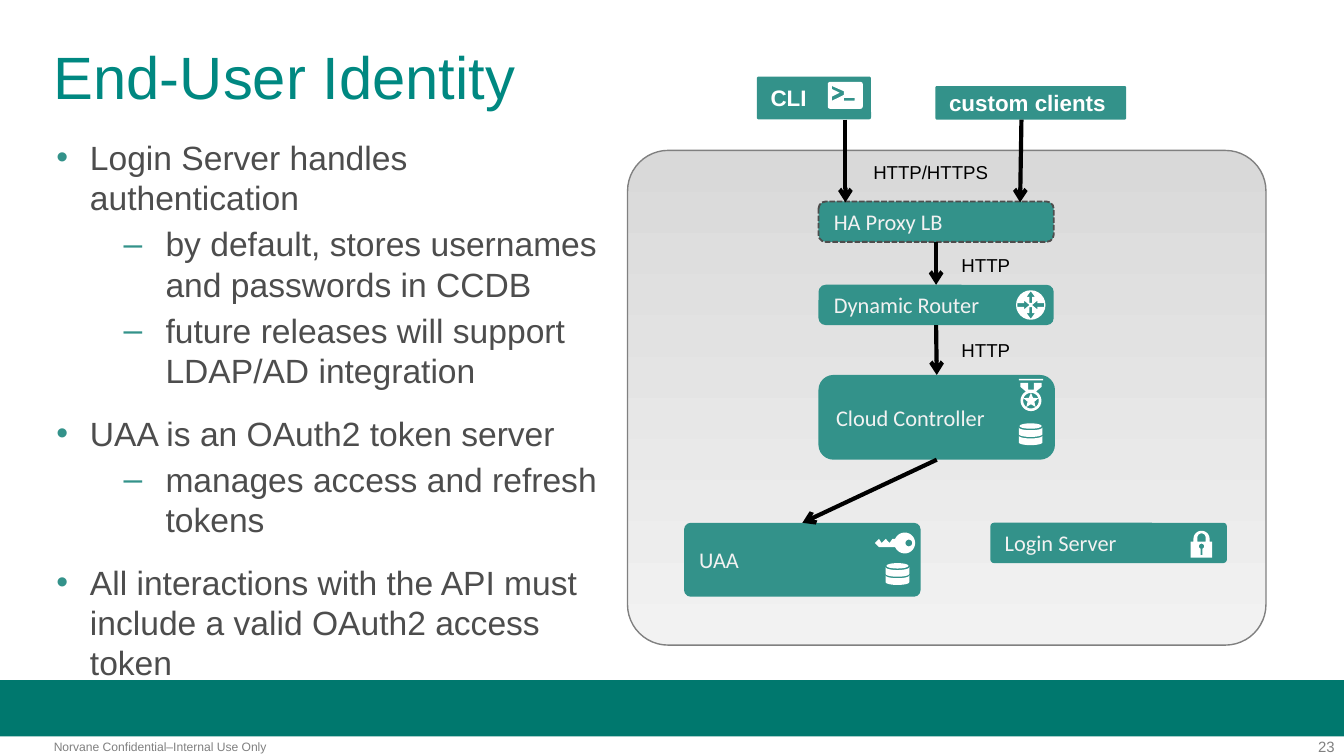
"""Build the End-User Identity slide: bullets beside a login architecture diagram."""
from dataclasses import dataclass
from math import cos, radians, sin

from lxml.etree import SubElement
from pptx import Presentation
from pptx.dml.color import RGBColor
from pptx.enum.dml import MSO_LINE
from pptx.enum.shapes import MSO_CONNECTOR, MSO_SHAPE
from pptx.enum.text import MSO_ANCHOR, MSO_AUTO_SIZE, PP_ALIGN
from pptx.oxml.ns import qn
from pptx.util import Pt


@dataclass(frozen=True)
class Theme:
    teal: str = "33928A"
    title: str = "008881"
    bar: str = "00786E"
    body: str = "4D4D4D"
    gray: str = "808080"
    light: str = "F2F2F2"
    panel: str = "D9D9D9"
    white: str = "FFFFFF"
    black: str = "000000"
    sans: str = "Arial"
    box: str = "Calibri"
    title_size: float = 32
    body_size: float = 18
    box_size: float = 12
    label_size: float = 10
    number_size: float = 8
    footer_size: float = 6.5


THEME = Theme()
TITLE = "End-User Identity"
BULLETS = [
    (0, "Login Server handles authentication"),
    (1, "by default, stores usernames and passwords in CCDB"),
    (1, "future releases will support LDAP/AD integration"),
    (0, "UAA is an OAuth2 token server"),
    (1, "manages access and refresh tokens"),
    (0, "All interactions with the API must include a valid OAuth2 access token"),
]
LEVELS = [("•", 18, -18, 12), ("–", 58.5, -22.5, 3)]
SERVERS = [
    ("HA Proxy LB", (438.5, 108, 126, 21.6), 0.177),
    ("Dynamic Router", (438.5, 152.6, 126, 21.6), 0.177),
    ("Cloud Controller", (438.5, 200.9, 126.7, 45.4), 0.177),
    ("UAA", (366.5, 280.1, 126.7, 39.6), 0.09),
    ("Login Server", (530.6, 280.1, 126.7, 21.6), 0.09),
]
CLIENTS = [
    ("CLI", (405.4, 41, 61.2, 23), 0.046),
    ("custom clients", (501.1, 46.1, 102.2, 18), 0.046),
]
CALLS = [("HA Proxy LB", "Dynamic Router"), ("Dynamic Router", "Cloud Controller"),
         ("Cloud Controller", "UAA")]
CLIENT_ARROWS = [(452.9, 64.1, 452.9, 108.4), (547.2, 64.1, 546.5, 108.4)]
LABELS = [
    ("HTTP/HTTPS", (460.1, 82.8, 77, 19.4)),
    ("HTTP", (507.6, 132.5, 41, 19.4)),
    ("HTTP", (507.6, 177.8, 41, 19.4)),
]


def arc(x, y, rx, ry=None, start=0, end=360):
    steps = 24
    angles = [radians(start + (end - start) * step / steps) for step in range(steps + 1)]
    return [(x + rx * cos(angle), y + (ry or rx) * sin(angle)) for angle in angles]


def rectangle(left, top, right, bottom):
    return [(left, top), (right, top), (right, bottom), (left, bottom)]


def disk(top):
    return arc(6.3, top, 6.3, 1.5, 180, 0) + arc(6.3, top + 3.6, 6.3, 1.5, 0, 180)


def router():
    outward = [(0, -7.4), (-2.2, -4.4), (-0.8, -4.4), (-0.8, -1.2),
               (0.8, -1.2), (0.8, -4.4), (2.2, -4.4)]
    inward = [(0.7, 0), (3.6, -2.4), (3.6, -1), (7.2, -1), (7.2, 1), (3.6, 1), (3.6, 2.4)]
    arrows = [[(7.9 + sign * x, 7.9 + sign * y) for x, y in arrow]
              for arrow in (outward, inward) for sign in (1, -1)]
    return [arc(7.9, 7.9, 7.9)] + arrows


def medal():
    star = [arc(6.5, 11.7, 1.9 if tip % 2 else 4.2, start=36 * tip - 90)[0] for tip in range(10)]
    ribbon = [(0.8, 2.2), (5, 2.2), (5, 5.8), (8, 5.8), (8, 2.2), (12.2, 2.2),
              (12.2, 4.3), (9.2, 6.8), (6.5, 6.1), (3.8, 6.8), (0.8, 4.3)]
    return [arc(6.5, 11.7, 5.6), arc(6.5, 11.7, 4.2), star, ribbon, rectangle(0, 0, 13, 0.9)]


DATABASE = [arc(6.3, 1.45, 5.9, 1.45), disk(2.2), disk(6.6)]
KEY = [arc(16, 5.8, 5.6, start=-157, end=157)
       + [(2.2, 8), (0, 5.8), (2.2, 3.6), (3.6, 5.8), (5.8, 3.6), (7.9, 5.8), (9.4, 3.6)],
       arc(18.2, 5.8, 1.8)]
LOCK = [[(0, 5.8), (1.5, 5.8)] + arc(5.8, 4.3, 4.3, start=180, end=360)
        + [(10.1, 5.8), (11.5, 5.8), (11.5, 14.4), (0, 14.4)],
        arc(5.8, 3.6, 2.2, start=180, end=360) + [(8, 5.8), (3.6, 5.8)],
        arc(5.8, 8.3, 1.4, start=110, end=430) + [(6.3, 13), (5.3, 13)]]
TERMINAL = [[point for x, y, start in [(1.2, 1.2, 180), (17.5, 1.2, 270),
                                       (17.5, 13.2, 0), (1.2, 13.2, 90)]
             for point in arc(x, y, 1.2, start=start, end=start + 90)],
            rectangle(8.6, 8.6, 14.4, 10.1),
            [(2.2, 2.2), (2.2, 3.8), (6.3, 5.8), (2.2, 7.9), (2.2, 10.1), (8.6, 7), (8.6, 5)]]
ICONS = [(KEY, 468.7, 285.1), (LOCK, 637.9, 284.4), (router(), 544.3, 155.5),
         (medal(), 545.8, 203), (DATABASE, 545.8, 226.8), (DATABASE, 474.5, 301.7),
         (TERMINAL, 443.5, 43.9)]


def color(value):
    return RGBColor.from_string(value)


def set_font(paragraph, name, size, value, bold=False):
    font = paragraph.font
    font.name, font.size, font.bold = name, Pt(size), bold
    font.color.rgb = color(value)


def set_frame(frame, insets=(0, 0, 0, 0), anchor=MSO_ANCHOR.TOP, wrap=True):
    frame.margin_left, frame.margin_top, frame.margin_right, frame.margin_bottom = map(Pt, insets)
    frame.vertical_anchor, frame.word_wrap = anchor, wrap
    frame.auto_size = MSO_AUTO_SIZE.NONE


def place(shape, *bounds):
    shape.left, shape.top, shape.width, shape.height = map(Pt, bounds)


def paint(shape, fill):
    shape.shadow.inherit = False
    shape.fill.solid()
    shape.fill.fore_color.rgb = color(fill)
    shape.line.fill.background()


def add_box(slide, kind, bounds, fill, corner=None):
    shape = slide.shapes.add_shape(kind, *map(Pt, bounds))
    paint(shape, fill)
    if corner is not None:
        shape.adjustments[0] = corner
    return shape


def add_node(slide, text, bounds, corner, font, value, bold=False):
    shape = add_box(slide, MSO_SHAPE.ROUNDED_RECTANGLE, bounds, THEME.teal, corner)
    set_frame(shape.text_frame, (7.2, 0, 0, 0), MSO_ANCHOR.MIDDLE)
    paragraph = shape.text_frame.paragraphs[0]
    paragraph.text, paragraph.alignment = text, PP_ALIGN.LEFT
    set_font(paragraph, font, THEME.box_size, value, bold)
    return shape


def add_label(slide, text, bounds, size, value, align, insets=(0, 0, 0, 0), wrap=True):
    frame = slide.shapes.add_textbox(*map(Pt, bounds)).text_frame
    set_frame(frame, insets, wrap=wrap)
    paragraph = frame.paragraphs[0]
    paragraph.text, paragraph.alignment = text, align
    set_font(paragraph, THEME.sans, size, value)


def add_arrow(slide, *ends):
    arrow = slide.shapes.add_connector(MSO_CONNECTOR.STRAIGHT, *map(Pt, ends))
    arrow.line.width = Pt(2.25)
    arrow.line.color.rgb = color(THEME.black)
    SubElement(arrow.line._get_or_add_ln(), qn("a:tailEnd"), type="arrow")
    SubElement(arrow._element.spPr, qn("a:effectLst"))
    return arrow


def add_icon(slide, contours, left, top):
    outlines = [[(Pt(left + x), Pt(top + y)) for x, y in contour] for contour in contours]
    builder = slide.shapes.build_freeform(*outlines[0][0])
    builder.add_line_segments(outlines[0][1:], close=True)
    for outline in outlines[1:]:
        builder.move_to(*outline[0])
        builder.add_line_segments(outline[1:], close=True)
    paint(builder.convert_to_shape(), THEME.white)


def add_text(slide):
    title, body = slide.shapes.title, slide.placeholders[1]
    place(title, 28.8, 24.9, 662.4, 36)
    set_frame(title.text_frame, anchor=MSO_ANCHOR.MIDDLE)
    heading = title.text_frame.paragraphs[0]
    heading.text, heading.alignment, heading.line_spacing = TITLE, PP_ALIGN.LEFT, 0.9
    set_font(heading, THEME.sans, THEME.title_size, THEME.title)
    place(body, 30.2, 73.4, 293, 293.8)
    frame = body.text_frame
    set_frame(frame)
    for index, (level, text) in enumerate(BULLETS):
        paragraph = frame.add_paragraph() if index else frame.paragraphs[0]
        mark, margin, indent, before = LEVELS[level]
        paragraph.text, paragraph.level = text, level
        paragraph.line_spacing, paragraph.space_before = 1.0, Pt(before if index else 0)
        properties = paragraph._p.get_or_add_pPr()
        properties.set("marL", str(Pt(margin)))
        properties.set("indent", str(Pt(indent)))
        SubElement(SubElement(properties, qn("a:buClr")), qn("a:srgbClr"), val=THEME.teal)
        SubElement(properties, qn("a:buFont"), typeface=THEME.sans)
        SubElement(properties, qn("a:buChar"), char=mark)
        set_font(paragraph, THEME.sans, THEME.body_size, THEME.body)


def add_diagram(slide):
    panel = add_box(slide, MSO_SHAPE.ROUNDED_RECTANGLE, (336.2, 80.6, 342, 265), THEME.panel, 0.082)
    panel.fill.gradient()
    panel.fill.gradient_angle = 270
    for stop, value in zip(panel.fill.gradient_stops, (THEME.panel, THEME.light)):
        stop.color.rgb = color(value)
    panel.line.color.rgb, panel.line.width = color(THEME.gray), Pt(0.75)
    nodes = {item[0]: add_node(slide, *item, THEME.box, THEME.light) for item in SERVERS}
    proxy = nodes["HA Proxy LB"].line
    proxy.color.rgb, proxy.width, proxy.dash_style = color(THEME.body), Pt(1), MSO_LINE.SQUARE_DOT
    for item in CLIENTS:
        add_node(slide, *item, THEME.sans, THEME.white, True)
    for icon in ICONS:
        add_icon(slide, *icon)
    for ends in CLIENT_ARROWS:
        add_arrow(slide, *ends)
    for source, target in CALLS:
        arrow = add_arrow(slide, 0, 0, 0, 0)
        arrow.begin_connect(nodes[source], 2)
        arrow.end_connect(nodes[target], 0)
    for text, bounds in LABELS:
        add_label(slide, text, bounds, THEME.label_size, THEME.black, PP_ALIGN.CENTER,
                  (7.2, 3.6, 7.2, 3.6), False)


def main():
    presentation = Presentation()
    presentation.slide_width, presentation.slide_height = Pt(720), Pt(405)
    slide = presentation.slides.add_slide(presentation.slide_layouts[1])
    add_box(slide, MSO_SHAPE.RECTANGLE, (0, 364.3, 720, 30.2), THEME.bar)
    add_label(slide, "23", (673.2, 395.3, 41.8, 9.4), THEME.number_size, THEME.gray, PP_ALIGN.RIGHT)
    add_label(slide, "Norvane Confidential–Internal Use Only", (28.8, 396, 179.3, 7.9),
              THEME.footer_size, THEME.gray, PP_ALIGN.LEFT)
    add_text(slide)
    add_diagram(slide)
    presentation.save("out.pptx")


if __name__ == "__main__":
    main()
